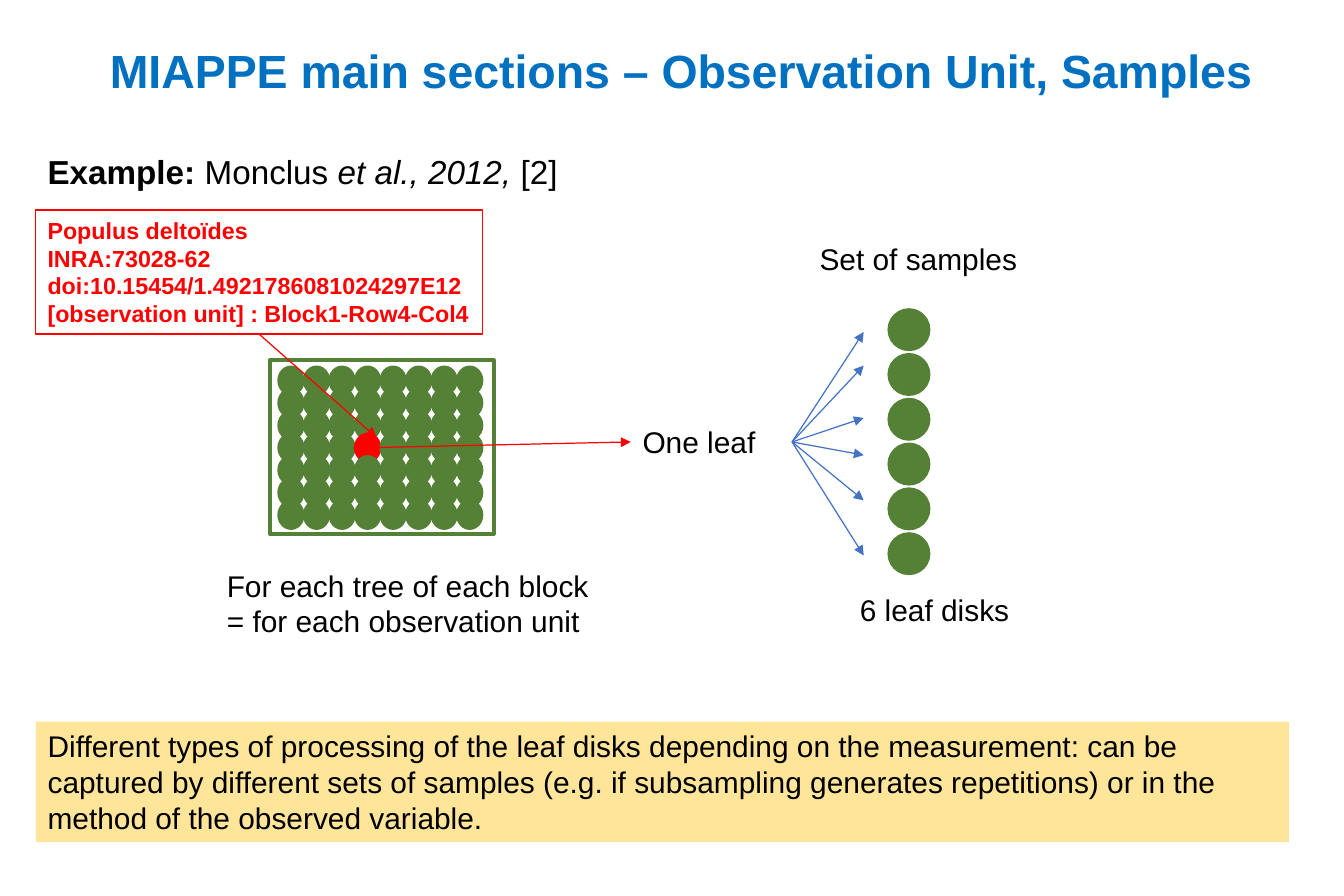
from lxml import etree
from pptx import Presentation
from pptx import util as u
from pptx.dml import color
from pptx.enum import shapes, text
from pptx.oxml import ns

WIDTH, HEIGHT = u.Inches(11.25), u.Inches(7.5)
COLUMNS, ROWS = 30, 20
COLORS = {
    "title": "0070C0",
    "text": "000000",
    "leaf": "548135",
    "unit": "FF0000",
    "fan": "4472C4",
    "note": "FEE599",
    "paper": "FFFFFF",
}
OVAL = shapes.MSO_SHAPE.OVAL
RECTANGLE = shapes.MSO_SHAPE.RECTANGLE
TREE_COLUMNS, TREE_ROWS, OBSERVED_TREE = 8, 7, (3, 3)
DISK_COUNT = 6
FAN_ROWS = (8.16, 9.33, 10.16, 11.17, 12.4, 7.41)


def rgb(name):
    """Return the named colour."""
    return color.RGBColor.from_string(COLORS[name])


def across(columns):
    """Convert grid columns to a length."""
    return round(WIDTH * columns / COLUMNS)


def down(rows):
    """Convert grid rows to a length."""
    return round(HEIGHT * rows / ROWS)


def place(box):
    """Convert a grid box to left, top, width and height."""
    left, top, width, height = box
    return across(left), down(top), across(width), down(height)


def add_figure(parent, kind, box, fill=None, line=None, weight=0.75):
    """Add a preset shape with an optional fill and outline."""
    shape = parent.shapes.add_shape(kind, *place(box))
    shape.shadow.inherit = False
    if fill:
        shape.fill.solid()
        shape.fill.fore_color.rgb = rgb(fill)
    else:
        shape.fill.background()
    if line:
        shape.line.color.rgb = rgb(line)
        shape.line.width = u.Pt(weight)
    else:
        shape.line.fill.background()
    return shape


def write(shape, words, size=18, ink="text", bold=False):
    """Write left-aligned text in a shape, one paragraph per line."""
    frame = shape.text_frame
    frame.word_wrap = True
    frame.vertical_anchor = text.MSO_ANCHOR.TOP
    frame.text = words
    for paragraph in frame.paragraphs:
        paragraph.alignment = text.PP_ALIGN.LEFT
        for run in paragraph.runs:
            style(run, size, ink, bold)


def style(run, size, ink="text", bold=False, italic=False):
    """Set the font of a run."""
    run.font.name = "Arial"
    run.font.size = u.Pt(size)
    run.font.bold = bold
    run.font.italic = italic
    run.font.color.rgb = rgb(ink)


def add_label(slide, box, words):
    """Add a plain text box."""
    label = slide.shapes.add_textbox(*place(box))
    write(label, words)
    return label


def add_arrow(slide, start, end, ink, begin_at=None, end_at=None):
    """Add a thin arrow, joined to shape sides where given."""
    arrow = slide.shapes.add_connector(
        shapes.MSO_CONNECTOR.STRAIGHT,
        across(start[0]), down(start[1]), across(end[0]), down(end[1]))
    if begin_at:
        arrow.begin_connect(*begin_at)
    if end_at:
        arrow.end_connect(*end_at)
    arrow.line.color.rgb = rgb(ink)
    arrow.line.width = u.Pt(0.75)
    line = arrow.line._get_or_add_ln()
    etree.SubElement(line, ns.qn("a:tailEnd"), type="triangle")
    etree.SubElement(arrow._element.spPr, ns.qn("a:effectLst"))


def add_citation(slide):
    """Add the example line with its mixed styles."""
    citation = slide.shapes.add_textbox(*place((0.8, 3.25, 25.97, 1.17)))
    citation.text_frame.word_wrap = True
    paragraph = citation.text_frame.paragraphs[0]
    for words, bold, italic in (
            ("Example: ", True, False), ("Monclus ", False, False),
            ("et al., 2012, ", False, True), ("[2]", False, False)):
        run = paragraph.add_run()
        run.text = words
        style(run, 20, bold=bold, italic=italic)


def add_block(slide):
    """Add the framed block of trees with the observed one marked."""
    block = slide.shapes.add_group_shape()
    add_figure(block, RECTANGLE, (6.03, 8.03, 4.99, 3.89), line="leaf", weight=2.25)
    for row in range(TREE_ROWS):
        for column in range(TREE_COLUMNS):
            fill = "unit" if (row, column) == OBSERVED_TREE else "leaf"
            box = (6.19 + 0.57 * column, 8.16 + 0.5 * row, 0.61, 0.67)
            add_figure(block, OVAL, box, fill)


def add_samples(slide, leaf):
    """Add the arrows from the leaf and the column of leaf disks."""
    for row in FAN_ROWS:
        add_arrow(slide, (17.68, 9.87), (19.28, row), "fan", begin_at=(leaf, 3))
    for disk in range(DISK_COUNT):
        add_figure(slide, OVAL, (19.81, 6.88 + disk, 0.96, 0.96), "leaf")
    add_label(slide, (18.93, 13.07, 3.89, 1.07), "6 leaf disks")
    add_label(slide, (18.03, 5.25, 4.99, 1.07), "Set of samples")


def main():
    """Build the slide and save it."""
    presentation = Presentation()
    presentation.slide_width, presentation.slide_height = WIDTH, HEIGHT
    slide = presentation.slides.add_slide(presentation.slide_layouts[6])

    title = add_figure(slide, RECTANGLE, (2.19, 0.8, 26.15, 1.52), "paper")
    write(title, "MIAPPE main sections – Observation Unit, Samples", 28, "title", True)
    add_citation(slide)
    add_block(slide)
    add_label(slide, (4.8, 12.53, 8.69, 1.89),
              "For each tree of each block\n= for each observation unit")

    leaf = add_label(slide, (14.08, 9.33, 3.6, 1.07), "One leaf")
    add_arrow(slide, (7.89, 10), (14.08, 9.87), "unit", end_at=(leaf, 1))
    add_samples(slide, leaf)

    note = add_figure(slide, RECTANGLE, (0.8, 16.11, 27.97, 2.69), "note")
    write(note, "Different types of processing of the leaf disks depending on the "
                "measurement: can be captured by different sets of samples (e.g. if "
                "subsampling generates repetitions) or in the method of the observed "
                "variable.")

    unit = add_figure(slide, RECTANGLE, (0.8, 4.69, 9.97, 2.77), line="unit")
    write(unit, "Populus deltoïdes\nINRA:73028-62\n"
                "doi:10.15454/1.4921786081024297E12\n"
                "[observation unit] : Block1-Row4-Col4", 14, "unit", True)
    add_arrow(slide, (5.79, 7.46), (8.4, 9.76), "unit", begin_at=(unit, 2))

    presentation.save("out.pptx")


if __name__ == "__main__":
    main()
